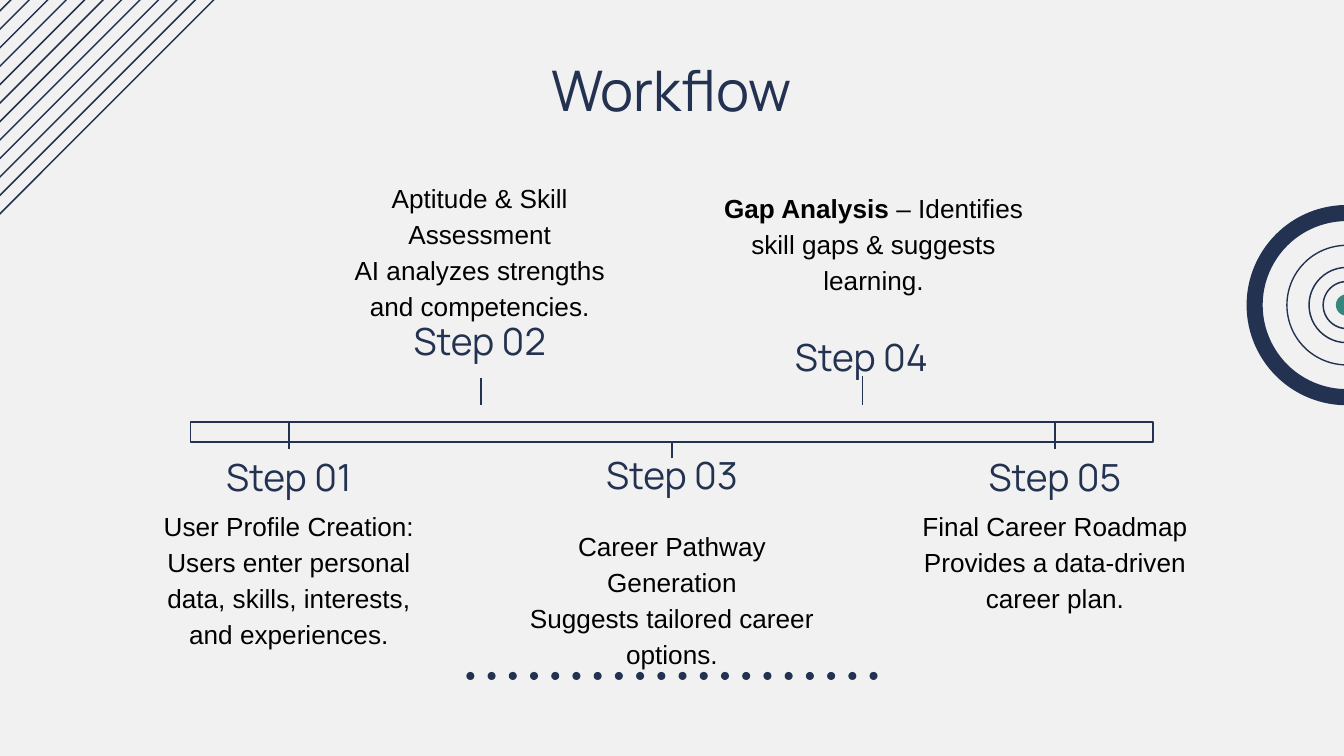
from lxml.etree import SubElement
from pptx import Presentation
from pptx.dml.color import RGBColor
from pptx.enum.shapes import MSO_CONNECTOR, MSO_SHAPE
from pptx.enum.text import MSO_ANCHOR, PP_ALIGN
from pptx.oxml.ns import qn
from pptx.util import Inches, Pt

COLORS = {"paper": "F1F1F1", "navy": "233251", "green": "36867D", "black": "000000"}
HEADING_FONT, BODY_FONT = "Manrope", "Arial"

TITLE = ("Workflow", (0.95, 0.31, 8.09, 0.66))
STEPS = [
    {"name": "Step 01", "name_at": (0.98, 3.34, 2.34, 0.47),
     "lines": [[("User Profile Creation: Users enter personal data, skills, interests, "
                 "and experiences.", False)]],
     "text_at": (0.98, 3.66, 2.34, 0.66), "tick": (2.15, 3.34, 3.14)},
    {"name": "Step 02", "name_at": (2.4, 2.34, 2.34, 0.46),
     "lines": [[("Aptitude & Skill Assessment", False)],
               [("AI analyzes strengths and competencies.", False)]],
     "text_at": (2.4, 1.22, 2.34, 1.16), "tick": (3.58, 2.81, 3.01)},
    {"name": "Step 03", "name_at": (3.83, 3.41, 2.34, 0.39),
     "lines": [[("Career Pathway Generation", False)],
               [("Suggests tailored career options.", False)]],
     "text_at": (3.83, 3.81, 2.34, 0.52), "tick": (5, 3.41, 3.29), "joins_bar": True},
    {"name": "Step 04", "name_at": (5.24, 2.72, 2.34, 0.14),
     "lines": [[("Gap Analysis", True),
                (" – Identifies skill gaps & suggests learning.", False)]],
     "text_at": (5.24, 1.3, 2.52, 1.07), "tick": (6.42, 2.8, 3.01)},
    {"name": "Step 05", "name_at": (6.68, 3.34, 2.34, 0.47),
     "lines": [[("Final Career Roadmap", False)],
               [("Provides a data-driven career plan.", False)]],
     "text_at": (6.68, 3.66, 2.34, 0.66), "tick": (7.85, 3.34, 3.13)},
]
BAR = (1.42, 3.14, 7.16, 0.15)

STRIPE_COUNT, STRIPE_LEFT, STRIPE_TOP, STRIPE_SIZE = 12, -1.55, -0.55, 2.18
STRIPE_GAP = 1.51 / (STRIPE_COUNT - 1)
DOT_COUNT, DOT_LEFT, DOT_TOP, DOT_SIZE = 20, 3.47, 5, 0.06
DOT_GAP = 3 / (DOT_COUNT - 1)
TARGET_CENTER = (10.02, 2.27)
TARGET_RINGS = [(0.89, 0.75), (0.56, 0.78), (0.35, 0.78)]
TARGET_CORE, TARGET_RIM, RIM_THICKNESS = 0.16, 1.49, 0.12


def color(name):
    return RGBColor.from_string(COLORS[name])


def add_shape(slide, kind, place, fill=None, line_width=None):
    shape = slide.shapes.add_shape(kind, *map(Inches, place))
    shape.shadow.inherit = False
    if fill:
        shape.fill.solid()
        shape.fill.fore_color.rgb = color(fill)
    else:
        shape.fill.background()
    if line_width:
        shape.line.color.rgb = color("navy")
        shape.line.width = Pt(line_width)
    else:
        shape.line.fill.background()
    return shape


def add_line(slide, start, end, width):
    line = slide.shapes.add_connector(MSO_CONNECTOR.STRAIGHT, *map(Inches, (*start, *end)))
    line.line.color.rgb = color("navy")
    line.line.width = Pt(width)
    SubElement(line.element.spPr, qn("a:effectLst"))
    return line


def add_text(slide, place, lines, size, font, ink, anchor=MSO_ANCHOR.TOP, spacing=1.0):
    box = slide.shapes.add_textbox(*map(Inches, place))
    frame = box.text_frame
    frame.word_wrap = True
    frame.vertical_anchor = anchor
    frame.margin_left = frame.margin_right = Inches(0.1)
    frame.margin_top = frame.margin_bottom = Inches(0.1)
    para = frame.paragraphs[0]
    para.alignment = PP_ALIGN.CENTER
    para.line_spacing = spacing
    for index, spans in enumerate(lines):
        if index:
            para.add_line_break()
        for text, bold in spans:
            span = para.add_run()
            span.text = text
            span.font.size = Pt(size)
            span.font.name = font
            span.font.bold = bold
            span.font.color.rgb = color(ink)


def around_target(size):
    x, y = TARGET_CENTER
    return x - size / 2, y - size / 2, size, size


def add_decoration(slide):
    for index in range(STRIPE_COUNT):
        left = STRIPE_LEFT + index * STRIPE_GAP
        add_line(slide, (left, STRIPE_TOP + STRIPE_SIZE),
                 (left + STRIPE_SIZE, STRIPE_TOP), 0.78)
    for index in range(DOT_COUNT):
        place = (DOT_LEFT + index * DOT_GAP, DOT_TOP, DOT_SIZE, DOT_SIZE)
        add_shape(slide, MSO_SHAPE.OVAL, place, fill="navy")
    for size, width in TARGET_RINGS:
        add_shape(slide, MSO_SHAPE.OVAL, around_target(size), line_width=width)
    add_shape(slide, MSO_SHAPE.OVAL, around_target(TARGET_CORE), fill="green")
    rim = add_shape(slide, MSO_SHAPE.DONUT, around_target(TARGET_RIM), fill="navy")
    rim.adjustments[0] = RIM_THICKNESS / TARGET_RIM


def add_timeline(slide):
    for step in STEPS:
        add_text(slide, step["name_at"], [[(step["name"], False)]], 20,
                 HEADING_FONT, "navy", anchor=MSO_ANCHOR.BOTTOM)
        add_text(slide, step["text_at"], step["lines"], 14, BODY_FONT, "black", spacing=1.15)
    bar = add_shape(slide, MSO_SHAPE.RECTANGLE, BAR, line_width=0.75)
    for step in STEPS:
        x, start, end = step["tick"]
        tick = add_line(slide, (x, start), (x, end), 0.75)
        if step.get("joins_bar"):
            tick.end_connect(bar, 2)


def main():
    deck = Presentation()
    deck.slide_width = Inches(10)
    deck.slide_height = deck.slide_width * 9 // 16
    slide = deck.slides.add_slide(deck.slide_layouts[6])
    slide.background.fill.solid()
    slide.background.fill.fore_color.rgb = color("paper")
    add_decoration(slide)
    title, place = TITLE
    add_text(slide, place, [[(title, False)]], 30, HEADING_FONT, "navy")
    add_timeline(slide)
    deck.save("out.pptx")


if __name__ == "__main__":
    main()
